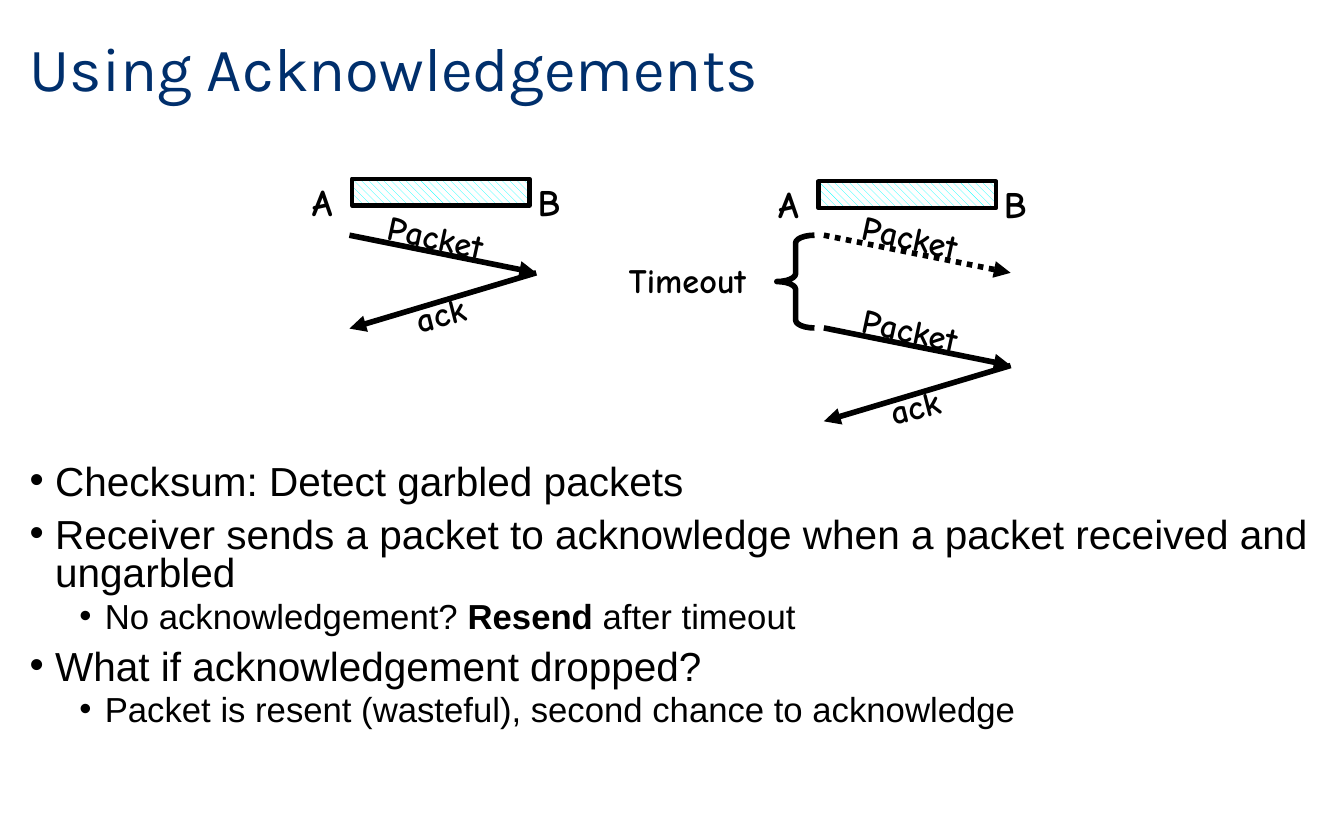
import dataclasses

import lxml.etree
import pptx
import pptx.dml.color
import pptx.enum.dml
import pptx.enum.shapes
import pptx.enum.text
import pptx.oxml
import pptx.oxml.ns
import pptx.util

SHAPE = pptx.enum.shapes.MSO_SHAPE


@dataclasses.dataclass(frozen=True)
class Theme:
    title: str = "002F6C"
    ink: str = "000000"
    hatch: str = "00FFFF"
    paper: str = "FFFFFF"
    title_font: str = "Karla"
    body_font: str = "Arial"
    label_font: str = "Comic Neue"
    title_size: float = 33
    body_sizes: tuple = (21.7, 18.6)
    body_gaps: tuple = (7.5, 3.8)
    body_indents: tuple = (1.9, 5.6)
    host_size: float = 20
    label_size: float = 18.3
    box_line: float = 2.25
    arrow_line: float = 3


THEME = Theme()
COLUMNS = 100
SLIDE_WIDTH = pptx.util.Inches(10)
SLIDE_HEIGHT = pptx.util.Inches(6.25)
HANG = 1.9
BULLETS = [
    (0, ["Checksum: Detect garbled packets"]),
    (0, ["Receiver sends a packet to acknowledge when a packet received and ungarbled"]),
    (1, ["No acknowledgement? ", "Resend", " after timeout"]),
    (0, ["What if acknowledgement dropped?"]),
    (1, ["Packet is resent (wasteful), second chance to acknowledge"]),
]


def grid(n):
    return pptx.util.Emu(round(SLIDE_WIDTH * n / COLUMNS))


def rgb(color):
    return pptx.dml.color.RGBColor.from_string(color)


def add_child(parent, tag, **attributes):
    child = lxml.etree.SubElement(parent, pptx.oxml.ns.qn(tag))
    for key, value in attributes.items():
        child.set(key, value)
    return child


def add_run(p, text, font, size, color, bold=False):
    r = p.add_run()
    r.text = text
    r.font.name = font
    r.font.size = pptx.util.Pt(size)
    r.font.bold = bold
    r.font.color.rgb = rgb(color)


def place(sp, x, y, width, height):
    sp.left, sp.top, sp.width, sp.height = map(grid, (x, y, width, height))
    sp.text_frame.auto_size = pptx.enum.text.MSO_AUTO_SIZE.NONE
    sp.text_frame.word_wrap = True


def set_title(sp, text):
    place(sp, 1.2, 1, 85.2, 8.6)
    tf = sp.text_frame
    tf.vertical_anchor = pptx.enum.text.MSO_ANCHOR.MIDDLE
    p = tf.paragraphs[0]
    p.alignment = pptx.enum.text.PP_ALIGN.LEFT
    p.line_spacing = 0.9
    add_run(p, text, THEME.title_font, THEME.title_size, THEME.title)


def set_bullets(sp, bullets):
    place(sp, 1.2, 34.1, 97.7, 22.1)
    tf = sp.text_frame
    for i, (level, parts) in enumerate(bullets):
        p = tf.add_paragraph() if i else tf.paragraphs[0]
        p.level = level
        props = p._p.get_or_add_pPr()
        props.set("marL", str(grid(THEME.body_indents[level])))
        props.set("indent", str(-grid(HANG)))
        add_child(props, "a:buFont", typeface=THEME.body_font)
        add_child(props, "a:buChar", char="•")
        p.line_spacing = 0.8
        p.space_before = pptx.util.Pt(THEME.body_gaps[level] if i else 0)
        for text in parts:
            add_run(p, text, THEME.body_font, THEME.body_sizes[level],
                    THEME.ink, text == "Resend")


def add_label(g, text, x, y, width, height=3.9, size=THEME.label_size, angle=0):
    sp = g.shapes.add_textbox(grid(x), grid(y), grid(width), grid(height))
    sp.rotation = angle
    tf = sp.text_frame
    tf.word_wrap = False
    tf.auto_size = pptx.enum.text.MSO_AUTO_SIZE.SHAPE_TO_FIT_TEXT
    tf.margin_left = tf.margin_right = grid(0.8)
    tf.margin_top = tf.margin_bottom = grid(0.4)
    add_run(tf.paragraphs[0], text, THEME.label_font, size, THEME.ink, True)


def style_line(sp, width):
    sp.line.color.rgb = rgb(THEME.ink)
    sp.line.width = pptx.util.Pt(width)


def add_arrow(g, x1, y1, x2, y2, lost=False):
    c = g.shapes.add_connector(pptx.enum.shapes.MSO_CONNECTOR.STRAIGHT,
                               grid(x1), grid(y1), grid(x2), grid(y2))
    style_line(c, THEME.arrow_line)
    if lost:
        c.line.dash_style = pptx.enum.dml.MSO_LINE.ROUND_DOT
    add_child(c.line._get_or_add_ln(), "a:tailEnd", type="triangle")
    add_child(c._element.spPr, "a:effectLst")


def add_link(g, x, y):
    sp = g.shapes.add_shape(SHAPE.RECTANGLE, grid(x), grid(y), grid(13.2), grid(2))
    sp.shadow.inherit = False
    sp.fill.patterned()
    sp.fill.pattern = pptx.enum.dml.MSO_PATTERN.WIDE_DOWNWARD_DIAGONAL
    sp.fill.fore_color.rgb = rgb(THEME.hatch)
    sp.fill.back_color.rgb = rgb(THEME.paper)
    style_line(sp, THEME.box_line)
    add_label(g, "A", x - 3.8, y - 0.4, 3.7, 4.2, THEME.host_size)
    add_label(g, "B", x + 13, y - 0.4, 3.4, 4.2, THEME.host_size)


def add_packet(g, x, y, lost=False):
    add_arrow(g, x, y, x + 13.9, y + 2.8, lost)
    add_label(g, "Packet", x + 2, y - 1.7, 9.8, angle=12.3)


def add_exchange(g, x, y):
    add_packet(g, x, y)
    add_arrow(g, x + 13.9, y + 2.8, x, y + 6.95)
    add_label(g, "ack", x + 4.1, y + 3.85, 5.8, angle=345.8)


def add_timeout(g, x, y):
    sp = g.shapes.add_shape(SHAPE.LEFT_BRACE, grid(x), grid(y), grid(2.8), grid(6.9))
    sp.shadow.inherit = False
    sp.adjustments[0] = 0.21
    sp.fill.background()
    style_line(sp, THEME.arrow_line)
    add_label(g, "Timeout", x - 11.8, y + 1.4, 11.5)


def main():
    prs = pptx.Presentation()
    prs.slide_width, prs.slide_height = SLIDE_WIDTH, SLIDE_HEIGHT
    s = prs.slides.add_slide(prs.slide_layouts[1])
    set_title(s.shapes.title, "Using Acknowledgements")
    set_bullets(s.placeholders[1], BULLETS)

    received = s.shapes.add_group_shape()
    add_link(received, 26.2, 13.3)
    add_exchange(received, 26, 17.5)

    resent = s.shapes.add_group_shape()
    add_link(resent, 60.9, 13.5)
    add_packet(resent, 61.3, 17.5, lost=True)
    add_exchange(resent, 61.3, 24.4)
    add_timeout(resent, 57.8, 17.5)

    prs.save("out.pptx")


if __name__ == "__main__":
    main()
